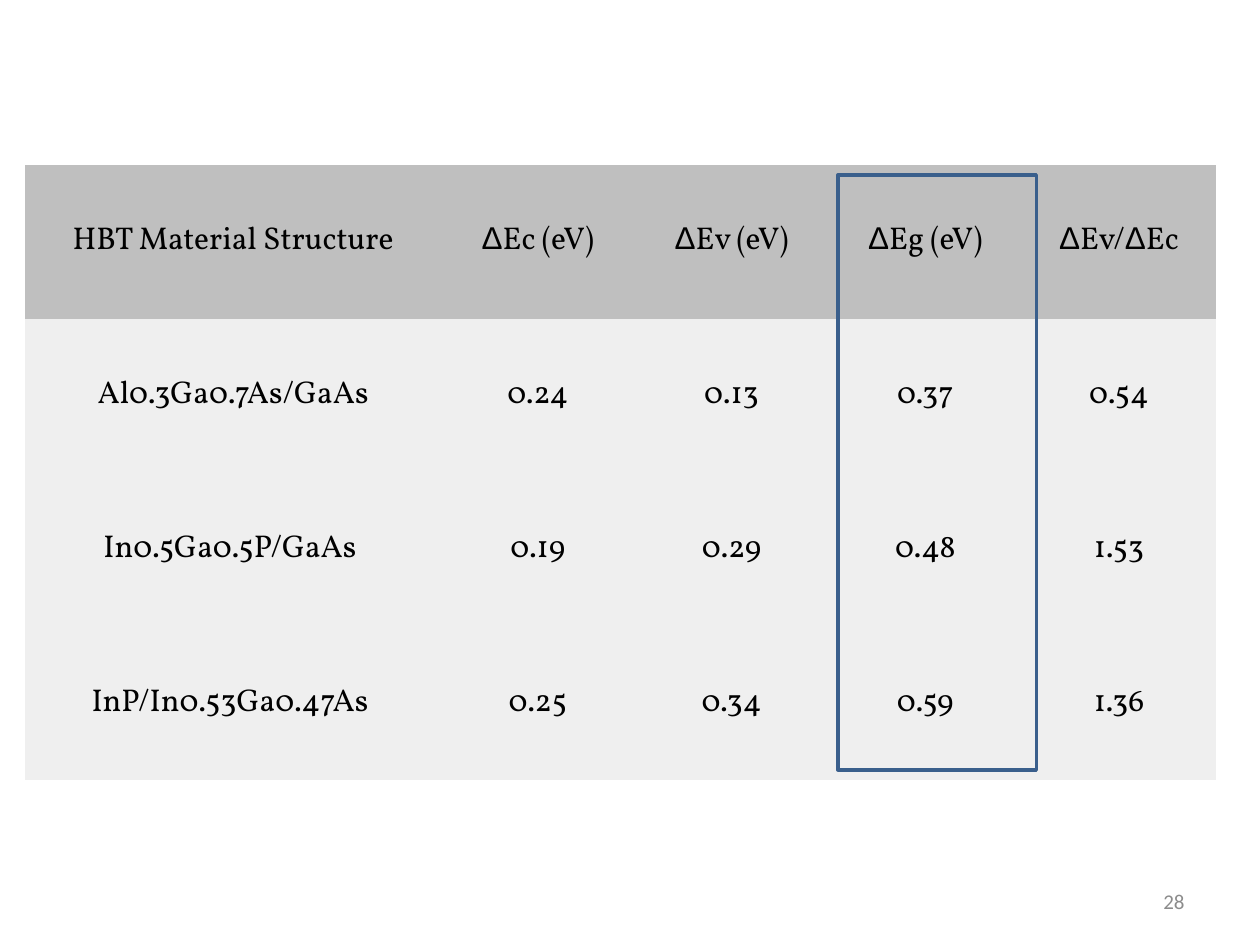
import itertools
from dataclasses import dataclass

import pptx
import pptx.dml.color
import pptx.enum.shapes
import pptx.enum.text
import pptx.util
from pptx.oxml.ns import qn

Pt = pptx.util.Pt
Align = pptx.enum.text.PP_ALIGN


@dataclass(frozen=True)
class Theme:
    text: str = "000000"
    header_fill: str = "BFBFBF"
    body_fill: str = "EFEFEF"
    highlight: str = "3A5F8C"
    page_number: str = "8C8C8C"
    table_font: str = "Vollkorn"
    symbol_font: str = "Arial"
    page_font: str = "Calibri"
    table_size: float = 18
    page_size: float = 12


THEME = Theme()
NO_STYLE_NO_GRID = "{2D5ABB26-0587-4C30-8999-92F81FD0307C}"

ROWS = [
    ["HBT Material Structure", "ΔEc (eV)", "ΔEv (eV)", "ΔEg (eV)", "ΔEv/ΔEc"],
    ["Al0.3Ga0.7As/GaAs", "0.24", "0.13", "0.37", "0.54"],
    ["In0.5Ga0.5P/GaAs ", "0.19", "0.29", "0.48", "1.53"],
    ["InP/In0.53Ga0.47As ", "0.25", "0.34", "0.59", "1.36"],
]


def rgb(value):
    return pptx.dml.color.RGBColor.from_string(value)


def write_text(text_frame, text, *, font, size, color, align):
    """Fill the first paragraph, setting each Δ in the symbol font."""
    paragraph = text_frame.paragraphs[0]
    paragraph.alignment = align
    for is_symbol, letters in itertools.groupby(text, lambda letter: letter == "Δ"):
        run = paragraph.add_run()
        run.text = "".join(letters)
        run.font.name = THEME.symbol_font if is_symbol else font
        run.font.size = Pt(size)
        run.font.color.rgb = rgb(color)


def format_cell(cell, text, fill):
    cell.fill.solid()
    cell.fill.fore_color.rgb = rgb(fill)
    cell.vertical_anchor = pptx.enum.text.MSO_ANCHOR.MIDDLE
    cell.margin_left = cell.margin_right = Pt(1.44)
    cell.margin_top = cell.margin_bottom = Pt(1.44)
    write_text(cell.text_frame, text, font=THEME.table_font,
               size=THEME.table_size, color=THEME.text, align=Align.CENTER)


def add_band_gap_table(slide, left, top, column_widths, row_height):
    shape = slide.shapes.add_table(
        len(ROWS), len(column_widths), Pt(left), Pt(top),
        Pt(sum(column_widths)), Pt(row_height * len(ROWS)))
    table = shape.table
    table.first_row = table.horz_banding = False
    table._tbl.tblPr.find(qn("a:tableStyleId")).text = NO_STYLE_NO_GRID
    for column, width in zip(table.columns, column_widths):
        column.width = Pt(width)
    for row_index, values in enumerate(ROWS):
        table.rows[row_index].height = Pt(row_height)
        fill = THEME.body_fill if row_index else THEME.header_fill
        for column_index, text in enumerate(values):
            format_cell(table.cell(row_index, column_index), text, fill)


def add_highlight(slide, left, top, width, height):
    shape = slide.shapes.add_shape(
        pptx.enum.shapes.MSO_SHAPE.RECTANGLE,
        Pt(left), Pt(top), Pt(width), Pt(height))
    shape.shadow.inherit = False
    shape.fill.background()
    shape.line.color.rgb = rgb(THEME.highlight)
    shape.line.width = Pt(2)


def add_page_number(slide, text, left, top, width, height):
    box = slide.shapes.add_textbox(Pt(left), Pt(top), Pt(width), Pt(height))
    box.text_frame.word_wrap = True
    box.text_frame.vertical_anchor = pptx.enum.text.MSO_ANCHOR.MIDDLE
    write_text(box.text_frame, text, font=THEME.page_font,
               size=THEME.page_size, color=THEME.page_number, align=Align.RIGHT)


def main():
    presentation = pptx.Presentation()
    presentation.slide_width = Pt(720)
    presentation.slide_height = Pt(540)
    slide = presentation.slides.add_slide(presentation.slide_layouts[6])

    # Band offsets by material, one wide column and four equal ones
    add_band_gap_table(slide, 14.4, 94.3, [237.6] + [110.7] * 4, 87.84)

    # Page number
    add_page_number(slide, "28", 516, 500.5, 168, 28.75)

    # Frame around the ΔEg column
    add_highlight(slide, 478.8, 100.1, 113.4, 339.8)

    presentation.save("out.pptx")


if __name__ == "__main__":
    main()
